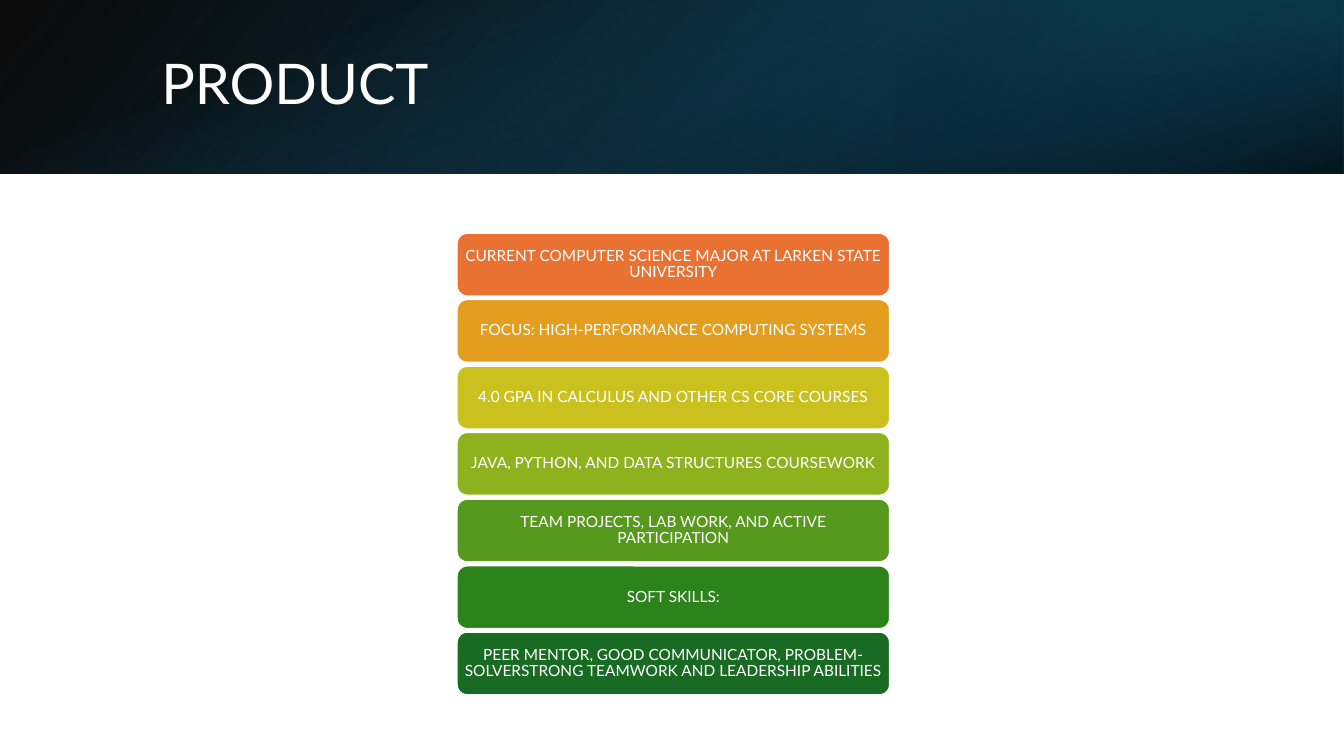
from pptx import Presentation
from pptx.dml.color import RGBColor
from pptx.enum.shapes import MSO_SHAPE
from pptx.enum.text import MSO_ANCHOR, MSO_AUTO_SIZE, PP_ALIGN
from pptx.oxml import parse_xml
from pptx.util import Cm, Pt

RECT, ROUNDED = MSO_SHAPE.RECTANGLE, MSO_SHAPE.ROUNDED_RECTANGLE
MIDDLE, NO_FIT = MSO_ANCHOR.MIDDLE, MSO_AUTO_SIZE.NONE
LEFT, CENTER = PP_ALIGN.LEFT, PP_ALIGN.CENTER
A_NS = "http://schemas.openxmlformats.org/drawingml/2006/main"
FONT, WHITE = "Lato", "FFFFFF"
WIDTH, HEIGHT, BAND = 33.87, 19.05, 4.37
BAR_LEFT, BAR_TOP, BAR_WIDTH, BAR_HEIGHT, BAR_STEP = 11.51, 5.87, 10.92, 1.6, 1.675

BARS = [
    ("CURRENT COMPUTER SCIENCE MAJOR AT LARKEN STATE UNIVERSITY", "E97132"),
    ("FOCUS: HIGH-PERFORMANCE COMPUTING SYSTEMS", "E39D1F"),
    ("4.0 GPA IN CALCULUS AND OTHER CS CORE COURSES", "CBC11E"),
    ("JAVA, PYTHON, AND DATA STRUCTURES COURSEWORK", "8EB21E"),
    ("TEAM PROJECTS, LAB WORK, AND ACTIVE PARTICIPATION", "56991D"),
    ("SOFT SKILLS:", "2C821B"),
    ("PEER MENTOR, GOOD COMMUNICATOR, PROBLEM-SOLVERSTRONG TEAMWORK "
     "AND LEADERSHIP ABILITIES", "196B24"),
]


def rgb(value):
    """Turn a hex string into a colour."""
    return RGBColor.from_string(value)


def set_text(shape, text, size, align):
    """Write one line of white text, centred vertically."""
    tf = shape.text_frame
    tf.text = text
    tf.word_wrap = True
    tf.auto_size = NO_FIT
    tf.vertical_anchor = MIDDLE
    p = tf.paragraphs[0]
    p.alignment = align
    p.line_spacing = 0.9
    font = p.runs[0].font
    font.name, font.size = FONT, Pt(size)
    font.color.rgb = rgb(WHITE)


def add_gradient(s, box, stops, angle, rotation=0, flip=False):
    """Add a rectangle with a gradient of (position, colour, opacity) stops."""
    sp = s.shapes.add_shape(RECT, *(Cm(v) for v in box))
    sp.shadow.inherit = False
    sp.line.fill.background()
    sp.rotation = rotation
    stop_xml = "".join(
        f'<a:gs pos="{pos * 1000}"><a:srgbClr val="{color}">'
        f'<a:alpha val="{alpha * 1000}"/></a:srgbClr></a:gs>'
        for pos, color, alpha in stops)
    sp_pr = sp._element.spPr
    if flip:
        sp_pr.xfrm.set("flipH", "1")
    sp_pr.prstGeom.addnext(parse_xml(
        f'<a:gradFill xmlns:a="{A_NS}" rotWithShape="1"><a:gsLst>{stop_xml}</a:gsLst>'
        f'<a:lin ang="{angle * 60000}" scaled="0"/></a:gradFill>'))


def add_header(s):
    """Layer the three gradients of the header band."""
    add_gradient(s, (0, 0, WIDTH, BAND),
                 [(0, "000000", 96), (100, "104862", 100)], 140, flip=True)
    add_gradient(s, (WIDTH * 2 / 3, 0, WIDTH / 3, BAND),
                 [(19, "0B3041", 68), (100, "156082", 79)], 320, 180, True)
    inset = (WIDTH - BAND) / 2
    add_gradient(s, (inset, -inset, BAND, WIDTH),
                 [(23, "156082", 0), (99, "000000", 74)], 340, 90)


def add_title(s, text):
    """Place the title in front of the header band."""
    title = s.shapes.title
    title.left, title.top, title.width, title.height = Cm(3.81), Cm(0.95), Cm(27.89), Cm(2.44)
    set_text(title, text, 40, LEFT)
    title._element.getparent().append(title._element)


def add_bar(s, top, text, color):
    """Add one rounded bar with its text."""
    sp = s.shapes.add_shape(ROUNDED, Cm(BAR_LEFT), Cm(top), Cm(BAR_WIDTH), Cm(BAR_HEIGHT))
    sp.shadow.inherit = False
    sp.fill.solid()
    sp.fill.fore_color.rgb = rgb(color)
    sp.line.color.rgb = rgb(WHITE)
    sp.line.width = Pt(1.5)
    set_text(sp, text, 11, CENTER)
    tf = sp.text_frame
    tf.margin_left = tf.margin_right = Cm(0.12)
    tf.margin_top = tf.margin_bottom = Cm(0.05)


def main():
    """Build the slide and save it."""
    prs = Presentation()
    prs.slide_width, prs.slide_height = Cm(WIDTH), Cm(HEIGHT)
    s = prs.slides.add_slide(prs.slide_layouts[5])
    add_header(s)
    add_title(s, "PRODUCT")
    for i, (text, color) in enumerate(BARS):
        add_bar(s, round(BAR_TOP + i * BAR_STEP, 2), text, color)
    prs.save("out.pptx")


if __name__ == "__main__":
    main()
